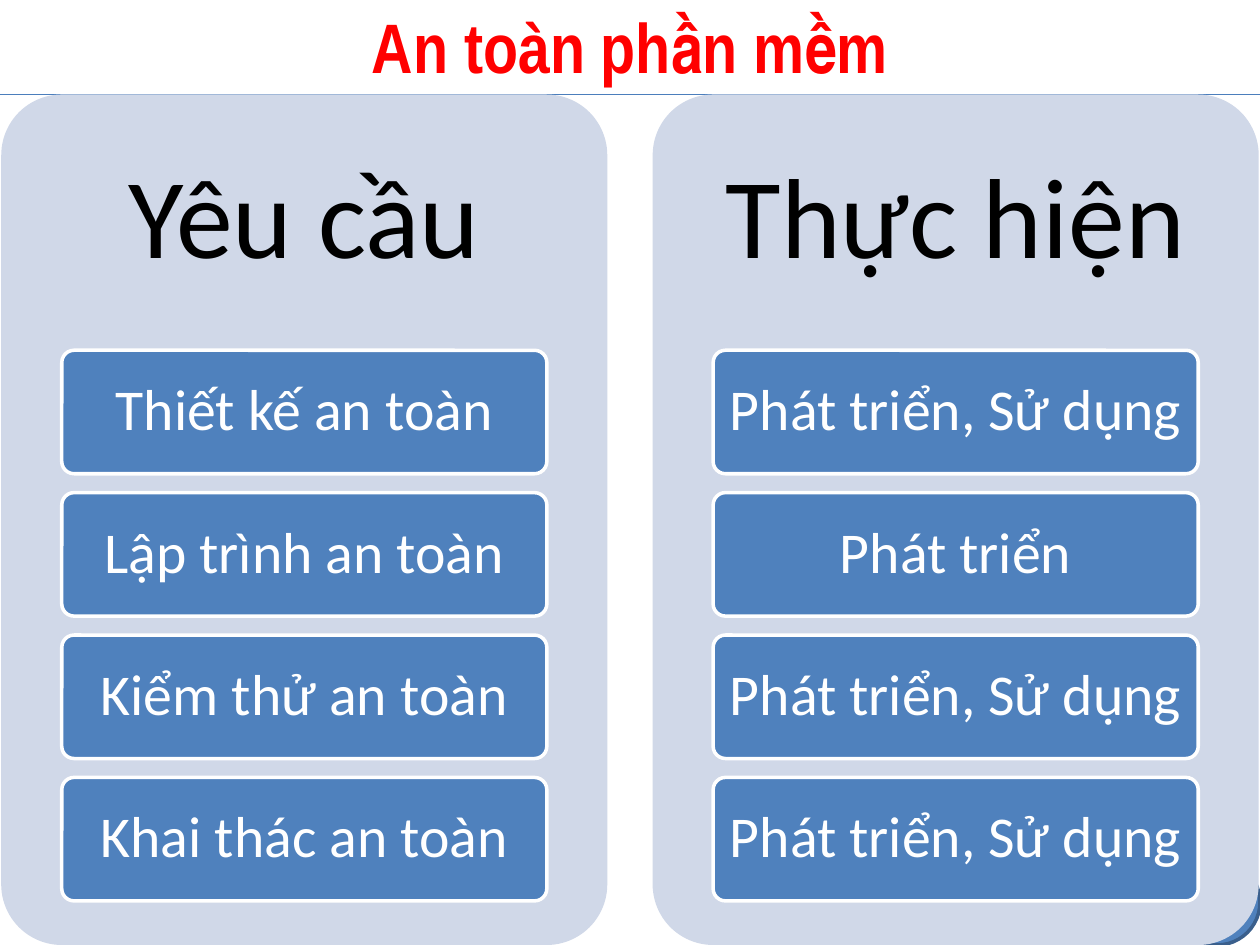
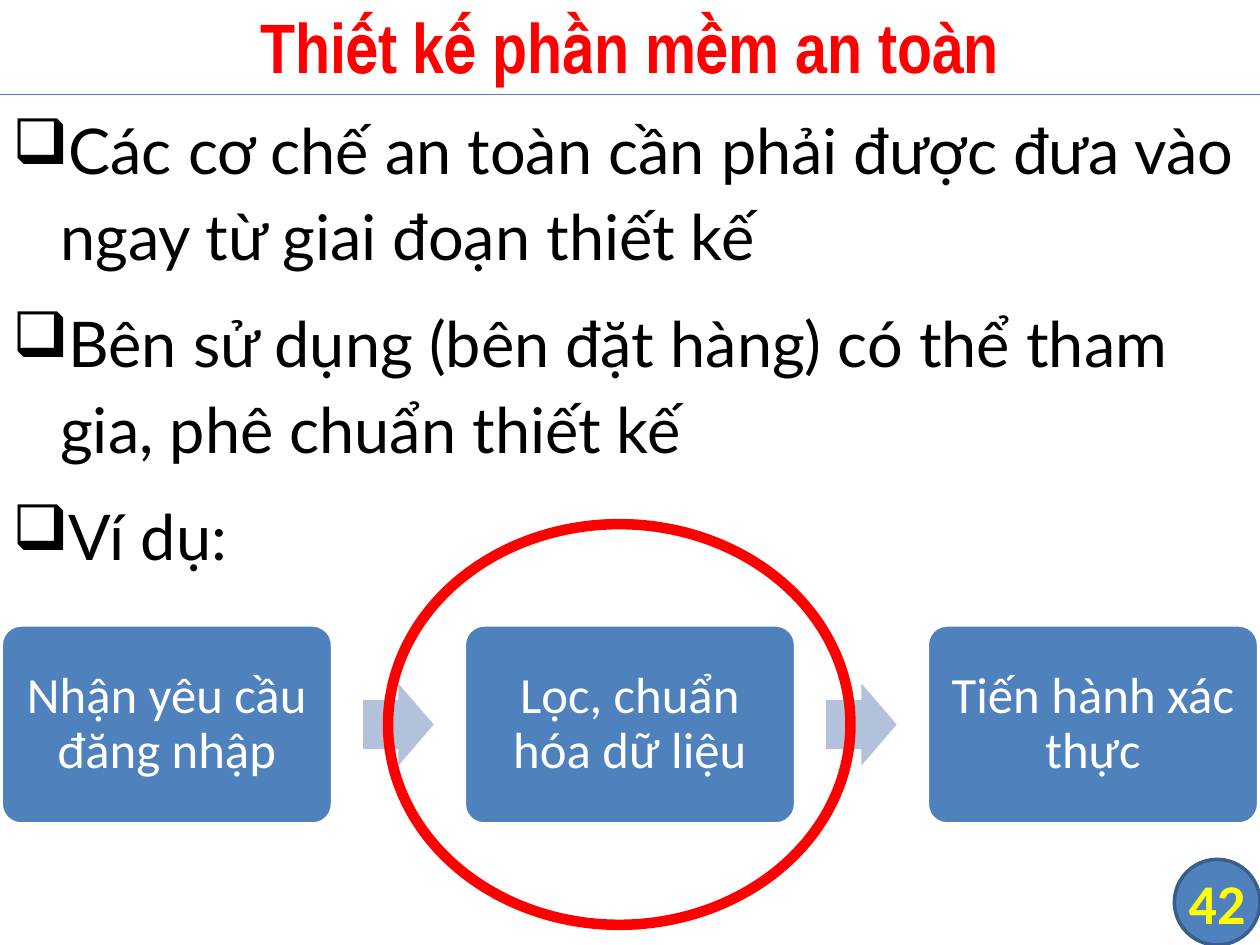
from lxml import etree
from pptx import Presentation
from pptx.dml.color import RGBColor
from pptx.enum.shapes import MSO_CONNECTOR, MSO_SHAPE
from pptx.enum.text import MSO_ANCHOR, PP_ALIGN
from pptx.oxml.ns import qn
from pptx.util import Inches, Pt

ROUNDED = MSO_SHAPE.ROUNDED_RECTANGLE
ARROW = MSO_SHAPE.RIGHT_ARROW
ELLIPSE = MSO_SHAPE.OVAL
BADGE = MSO_SHAPE.FLOWCHART_CONNECTOR
STRAIGHT = MSO_CONNECTOR.STRAIGHT
TOP, MIDDLE = MSO_ANCHOR.TOP, MSO_ANCHOR.MIDDLE
LEFT, CENTER = PP_ALIGN.LEFT, PP_ALIGN.CENTER

COLORS = {
    "blue": "4F81BD",
    "badge_edge": "3A5F8C",
    "rule": "4B7EBC",
    "panel": "D0D8E8",
    "arrow": "B3C1DB",
    "red": "FF0000",
    "yellow": "FFFF00",
    "white": "FFFFFF",
    "black": "000000",
}
SLIDE_WIDTH, SLIDE_HEIGHT = 10, 7.5
HEADER_HEIGHT = 0.75

COLUMNS = {
    "Yêu cầu": ["Thiết kế an toàn", "Lập trình an toàn",
                "Kiểm thử an toàn", "Khai thác an toàn"],
    "Thực hiện": ["Phát triển, Sử dụng", "Phát triển",
                  "Phát triển, Sử dụng", "Phát triển, Sử dụng"],
}
POINTS = [
    "Các cơ chế an toàn cần phải được đưa vào ngay từ giai đoạn thiết kế",
    "Bên sử dụng (bên đặt hàng) có thể tham gia, phê chuẩn thiết kế",
    "Ví dụ:",
]
STEPS = ["Nhận yêu cầu đăng nhập", "Lọc, chuẩn hóa dữ liệu", "Tiến hành xác thực"]


def rgb(name):
    return RGBColor.from_string(COLORS[name])


def add_bullet(para, symbol, indent):
    properties = para._p.get_or_add_pPr()
    properties.set("marL", str(Inches(indent)))
    properties.set("indent", str(-Inches(indent)))
    etree.SubElement(properties, qn("a:buChar")).set("char", symbol)


def write_text(box, *lines, size, color, font="Calibri", bold=False, align=CENTER,
               anchor=MIDDLE, insets=(0.1, 0.05), spacing=0.9, around=0,
               bullet=None, indent=0.38):
    """Fill the box with one paragraph per line; insets are (sides, top and bottom)."""
    frame = box.text_frame
    frame.word_wrap = True
    frame.vertical_anchor = anchor
    frame.margin_left = frame.margin_right = Inches(insets[0])
    frame.margin_top = frame.margin_bottom = Inches(insets[1])
    for index, line in enumerate(lines):
        para = frame.add_paragraph() if index else frame.paragraphs[0]
        para.alignment = align
        para.line_spacing = spacing
        para.space_before = para.space_after = Pt(around)
        if bullet:
            add_bullet(para, bullet, indent)
        span = para.add_run()
        span.text = line
        span.font.name = font
        span.font.size = Pt(size)
        span.font.bold = bold
        span.font.color.rgb = rgb(color)


def add_text(page, left, top, width, height, *lines, **text_format):
    box = page.shapes.add_textbox(*map(Inches, (left, top, width, height)))
    write_text(box, *lines, **text_format)


def add_figure(page, kind, left, top, width, height, fill=None, line=None,
               line_width=2, adjustments=()):
    figure = page.shapes.add_shape(kind, *map(Inches, (left, top, width, height)))
    figure.shadow.inherit = False
    for index, value in enumerate(adjustments):
        figure.adjustments[index] = value
    if fill:
        figure.fill.solid()
        figure.fill.fore_color.rgb = rgb(fill)
    else:
        figure.fill.background()
    if line:
        figure.line.color.rgb = rgb(line)
        figure.line.width = Pt(line_width)
    else:
        figure.line.fill.background()
    return figure


def add_card(page, left, top, width, height, label, size, insets):
    card = add_figure(page, ROUNDED, left, top, width, height, "blue", "white",
                      adjustments=[0.1])
    write_text(card, label, size=size, color="white", insets=insets)


def add_header_rule(page):
    rule = page.shapes.add_connector(STRAIGHT, 0, Inches(HEADER_HEIGHT),
                                     Inches(SLIDE_WIDTH), Inches(HEADER_HEIGHT))
    rule.line.color.rgb = rgb("rule")
    rule.line.width = Pt(0.75)
    etree.SubElement(rule._element.spPr, qn("a:effectLst"))


def add_page(deck, title, number=None):
    """Add a slide with the shared title, header rule and corner badge."""
    page = deck.slides.add_slide(deck.slide_layouts[6])
    size = 0.68
    badge = add_figure(page, BADGE, SLIDE_WIDTH - size, SLIDE_HEIGHT - size, size, size,
                       "blue", "badge_edge")
    if number:
        write_text(badge, number, size=32, color="yellow", bold=True,
                   insets=(0, 0), spacing=1.0)
    add_header_rule(page)
    add_text(page, 0, -0.03, SLIDE_WIDTH, 0.78, title, size=40, color="red",
             font="Arial Narrow", bold=True, spacing=1.0)
    return page


def add_column(page, left, heading, labels):
    width, card_width, card_step = 4.81, 3.85, 1.13
    add_figure(page, ROUNDED, left, HEADER_HEIGHT, width, SLIDE_HEIGHT - HEADER_HEIGHT,
               "panel", adjustments=[0.1])
    add_text(page, left, HEADER_HEIGHT, width, 2.02, heading, size=65, color="black",
             insets=(0.27, 0.27))
    card_left = left + (width - card_width) / 2
    for row, label in enumerate(labels):
        add_card(page, card_left, 2.78 + row * card_step, card_width, 0.98, label,
                 size=33, insets=(0.08, 0.07))


def add_process(page, steps):
    top, width, height, margin = 4.96, 2.63, 1.58, 0.01
    arrow_width, arrow_height = 0.56, 0.65
    pitch = (SLIDE_WIDTH - 2 * margin - width) / (len(steps) - 1)
    arrow_offset = (width + pitch - arrow_width) / 2
    arrow_top = top + (height - arrow_height) / 2
    for index, step in enumerate(steps):
        left = margin + index * pitch
        add_card(page, left, top, width, height, step, size=29, insets=(0.12, 0.12))
        if index < len(steps) - 1:
            add_figure(page, ARROW, left + arrow_offset, arrow_top, arrow_width,
                       arrow_height, "arrow", adjustments=[0.6, 0.5])


def build_safety_overview(deck):
    page = add_page(deck, "An toàn phần mềm")
    for left, (heading, labels) in zip((0.01, 5.18), COLUMNS.items()):
        add_column(page, left, heading, labels)


def build_safe_design(deck):
    page = add_page(deck, "Thiết kế phần mềm an toàn", "42")
    add_text(page, 0, HEADER_HEIGHT, SLIDE_WIDTH, SLIDE_HEIGHT - HEADER_HEIGHT, *POINTS,
             size=36, color="black", font="Lato", align=LEFT, anchor=TOP,
             spacing=1.14, around=6, bullet="❑")
    add_process(page, STEPS)
    add_figure(page, ELLIPSE, 3.08, 4.16, 3.67, 3.18, line="red", line_width=6)


def main():
    deck = Presentation()
    deck.slide_width = Inches(SLIDE_WIDTH)
    deck.slide_height = Inches(SLIDE_HEIGHT)
    build_safety_overview(deck)
    build_safe_design(deck)
    deck.save("out.pptx")


if __name__ == "__main__":
    main()
